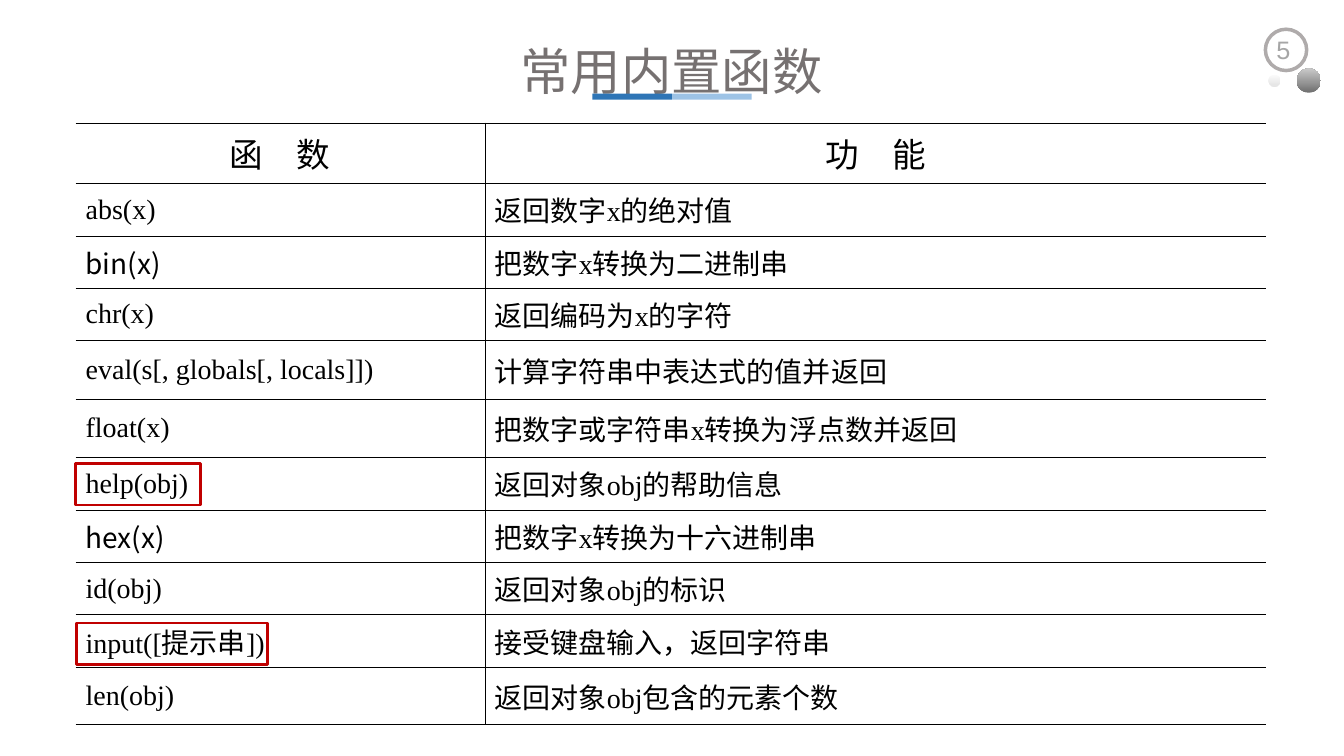
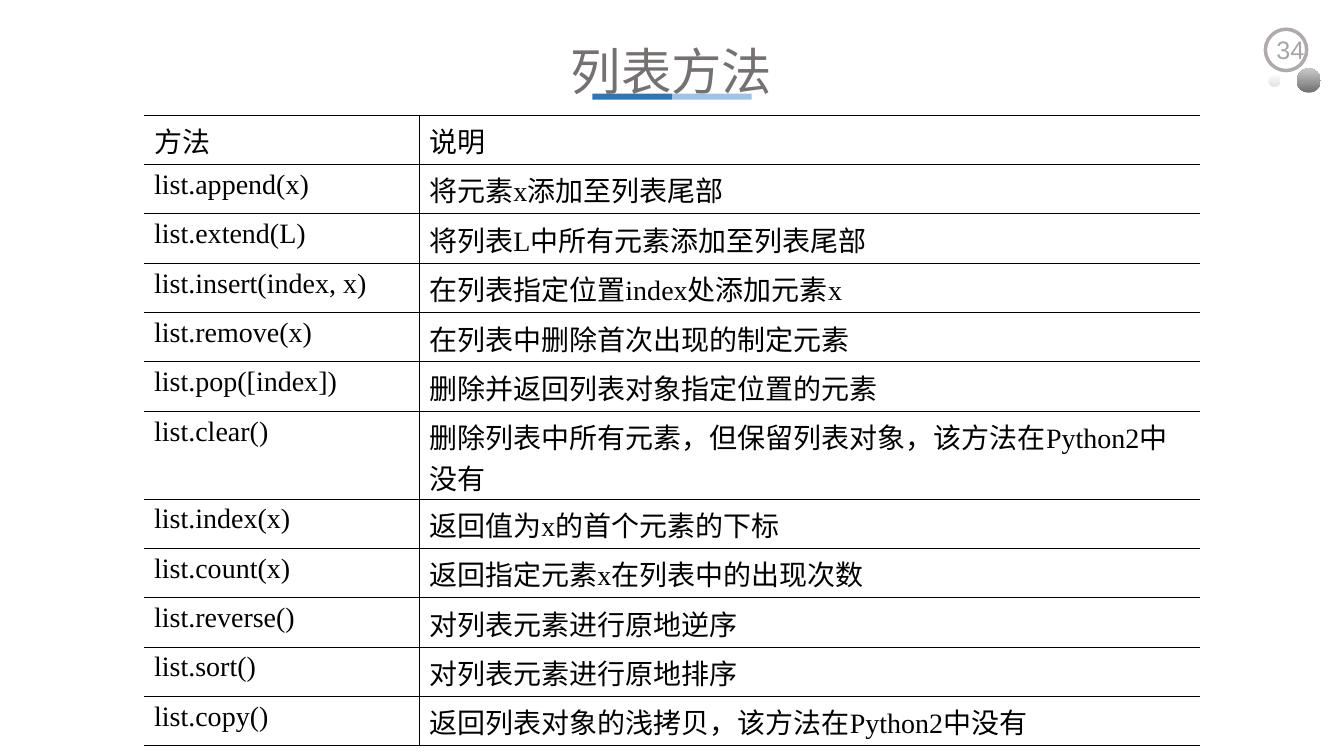
from pptx import Presentation
from pptx.dml.color import RGBColor
from pptx.enum.shapes import MSO_SHAPE
from pptx.enum.text import MSO_ANCHOR, PP_ALIGN
from pptx.oxml.xmlchemy import OxmlElement
from pptx.util import Pt

PX = 9144
COLORS = {
    "ink": "000000", "title": "767171", "number": "A6A6A6", "ring": "AFABAB",
    "paper": "FFFFFF", "blue": "2E75B6", "light blue": "9DC3E6", "highlight": "C00000",
    "ball dark": "6F6F6F", "ball light": "C9C9C9", "dot light": "FAFAFA", "dot dark": "E4E4E4",
}
SERIF, SANS = "Times New Roman", "Noto Sans CJK SC"


def write(frame, text, size=20, font=SERIF, color="ink", align=PP_ALIGN.LEFT):
    frame.word_wrap = True
    paragraph = frame.paragraphs[0]
    paragraph.alignment = align
    run = paragraph.add_run()
    run.text = text
    run.font.size = Pt(size)
    run.font.name = font
    run.font.color.rgb = RGBColor.from_string(COLORS[color])
    east_asian = OxmlElement("a:ea")
    east_asian.set("typeface", SANS)
    run.font.fill
    run._r.get_or_add_rPr().append(east_asian)


def draw(slide, outline, box, fill=None, line=None, width=1, angle=90):
    shape = slide.shapes.add_shape(outline, *[side * PX for side in box])
    shape.shadow.inherit = False
    if isinstance(fill, tuple):
        shape.fill.gradient()
        shape.fill.gradient_angle = angle
        for stop, color in zip(shape.fill.gradient_stops, fill):
            stop.color.rgb = RGBColor.from_string(COLORS[color])
    elif fill:
        shape.fill.solid()
        shape.fill.fore_color.rgb = RGBColor.from_string(COLORS[fill])
    else:
        shape.fill.background()
    if line:
        shape.line.color.rgb = RGBColor.from_string(COLORS[line])
        shape.line.width = Pt(width)
    else:
        shape.line.fill.background()


pages = [
    {
        "title": "常用内置函数", "number": "5", "at": (75, 122), "columns": (406, 776),
        "heights": [60, 52, 52, 52, 58, 58, 52, 52, 52, 52, 57],
        "anchor": MSO_ANCHOR.MIDDLE, "divider": 0.11,
        "header": {"size": 24, "align": PP_ALIGN.CENTER},
        "sans": ("bin(x)", "hex(x)"),
        "highlights": [(75, 460, 124, 41), (76, 618, 190, 41)],
        "rows": [
            ("函　数", "功　能"),
            ("abs(x)", "返回数字x的绝对值"),
            ("bin(x)", "把数字x转换为二进制串"),
            ("chr(x)", "返回编码为x的字符"),
            ("eval(s[, globals[, locals]])", "计算字符串中表达式的值并返回"),
            ("float(x)", "把数字或字符串x转换为浮点数并返回"),
            ("help(obj)", "返回对象obj的帮助信息"),
            ("hex(x)", "把数字x转换为十六进制串"),
            ("id(obj)", "返回对象obj的标识"),
            ("input([提示串])", "接受键盘输入，返回字符串"),
            ("len(obj)", "返回对象obj包含的元素个数"),
        ],
    },
    {
        "title": "列表方法", "number": "34", "at": (143, 114), "columns": (273, 775),
        "heights": [49] * 6 + [87] + [49] * 5,
        "anchor": MSO_ANCHOR.TOP, "divider": 0.45,
        "header": {}, "sans": (), "highlights": [],
        "rows": [
            ("方法", "说明"),
            ("list.append(x)", "将元素x添加至列表尾部"),
            ("list.extend(L)", "将列表L中所有元素添加至列表尾部"),
            ("list.insert(index, x)", "在列表指定位置index处添加元素x"),
            ("list.remove(x)", "在列表中删除首次出现的制定元素"),
            ("list.pop([index])", "删除并返回列表对象指定位置的元素"),
            ("list.clear()", "删除列表中所有元素，但保留列表对象，该方法在Python2中没有"),
            ("list.index(x)", "返回值为x的首个元素的下标"),
            ("list.count(x)", "返回指定元素x在列表中的出现次数"),
            ("list.reverse()", "对列表元素进行原地逆序"),
            ("list.sort()", "对列表元素进行原地排序"),
            ("list.copy()", "返回列表对象的浅拷贝，该方法在Python2中没有"),
        ],
    },
]

deck = Presentation()
deck.slide_width, deck.slide_height = 1334 * PX, 750 * PX

for page in pages:
    slide = deck.slides.add_slide(deck.slide_layouts[6])

    draw(slide, MSO_SHAPE.OVAL, (1256, 29, 41, 41), "paper", line="ring", width=2.5)
    draw(slide, MSO_SHAPE.OVAL, (1287, 68, 24, 24), ("ball dark", "ball light"), angle=90)
    draw(slide, MSO_SHAPE.OVAL, (1259, 74, 12, 12), ("dot light", "dot dark"), angle=270)
    number = slide.shapes.add_textbox(1257 * PX, 29 * PX, 55 * PX, 40 * PX)
    write(number.text_frame, page["number"], size=18, font="Arial", color="number")

    title = slide.shapes.add_textbox(381 * PX, 0, 571 * PX, 100 * PX)
    title.text_frame.vertical_anchor = MSO_ANCHOR.BOTTOM
    title.text_frame.margin_bottom = 0
    write(title.text_frame, page["title"], size=36, font="Calibri", color="title",
          align=PP_ALIGN.CENTER)
    for index, color in enumerate(("blue", "light blue")):
        draw(slide, MSO_SHAPE.RECTANGLE, (588 + 79 * index, 93, 79, 6), color)

    left, top = page["at"]
    columns, heights = page["columns"], page["heights"]
    table = slide.shapes.add_table(len(heights), len(columns), left * PX, top * PX,
                                   sum(columns) * PX, sum(heights) * PX).table
    table.first_row = table.horz_banding = False
    for column, width in zip(table.columns, columns):
        column.width = width * PX
    for row, height in zip(table.rows, heights):
        row.height = height * PX

    for row_index, texts in enumerate(page["rows"]):
        for column_index, text in enumerate(texts):
            cell = table.cell(row_index, column_index)
            cell.vertical_anchor = page["anchor"]
            cell.fill.background()
            write(cell.text_frame, text, font=SANS if text in page["sans"] else SERIF,
                  **(page["header"] if row_index == 0 else {}))
            inner = "a:lnR" if column_index == 0 else "a:lnL"
            borders = {"a:lnL": 0, "a:lnR": 0, "a:lnT": 0.45, "a:lnB": 0.45}
            borders[inner] = page["divider"]
            properties = cell._tc.get_or_add_tcPr()
            for position, (edge, weight) in enumerate(borders.items()):
                border = OxmlElement(edge)
                border.set("w", str(int(Pt(weight))))
                paint = OxmlElement("a:solidFill" if weight else "a:noFill")
                if weight:
                    ink = OxmlElement("a:srgbClr")
                    ink.set("val", COLORS["ink"])
                    paint.append(ink)
                border.append(paint)
                properties.insert(position, border)

    for box in page["highlights"]:
        draw(slide, MSO_SHAPE.RECTANGLE, box, line="highlight", width=2)

deck.save("out.pptx")
